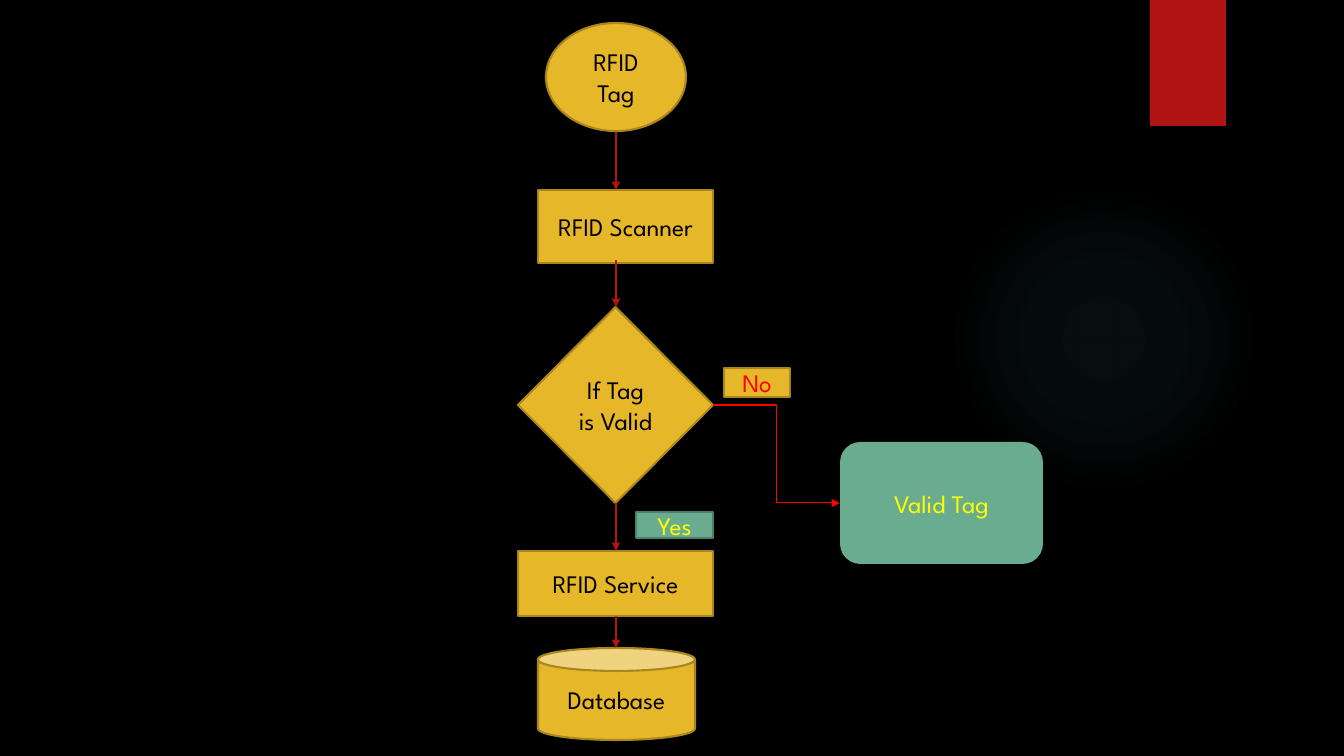
import dataclasses

import pptx
import pptx.dml.color
import pptx.enum.shapes
import pptx.enum.text
import pptx.oxml
import pptx.oxml.ns
import pptx.util

SHAPE = pptx.enum.shapes.MSO_SHAPE
CONNECTOR = pptx.enum.shapes.MSO_CONNECTOR


@dataclasses.dataclass(frozen=True)
class Theme:
    """Colours, font and sizes of the slide."""
    background: str = "000000"
    accent: str = "B01513"
    gold: str = "E6B729"
    gold_edge: str = "AA871E"
    green: str = "6AAC90"
    green_edge: str = "4E7F6B"
    dark_text: str = "000000"
    yellow: str = "FFFF00"
    red: str = "FF0000"
    glow: str = "50B9C1"
    font: str = "League Spartan"
    text_size: int = 18
    edge_width: float = 1.5
    arrow_width: float = 0.75


def pixels(*values):
    """Turn picture pixels into EMU."""
    return [pptx.util.Emu(round(value * 914400 / 100.8)) for value in values]


def rgb(code):
    """Return the colour for a hex code."""
    return pptx.dml.color.RGBColor.from_string(code)


def set_format(target, values):
    """Set every attribute in a dict of format values."""
    for name, value in values.items():
        setattr(target, name, value)


def element(tag, content="", attributes=""):
    """Build a DrawingML element."""
    namespace = pptx.oxml.ns.nsdecls("a")
    return pptx.oxml.parse_xml(f"<a:{tag} {namespace} {attributes}>{content}</a:{tag}>")


class Flowchart:
    """Draw flowchart elements on one slide in one theme."""

    def __init__(self, slide, theme):
        """Keep the slide and theme and paint the background."""
        self.slide, self.theme = slide, theme
        slide.background.fill.solid()
        slide.background.fill.fore_color.rgb = rgb(theme.background)

    def plain(self, kind, box, edge=None):
        """Add a shape without shadow, edged only when a colour is given."""
        shape = self.slide.shapes.add_shape(kind, *pixels(*box))
        shape.shadow.inherit = False
        if edge:
            shape.line.color.rgb = rgb(edge)
            shape.line.width = pptx.util.Pt(self.theme.edge_width)
        else:
            shape.line.fill.background()
        return shape

    def block(self, kind, box, fill, edge=None):
        """Add a shape with a solid fill."""
        shape = self.plain(kind, box, edge)
        shape.fill.solid()
        shape.fill.fore_color.rgb = rgb(fill)
        return shape

    def glow(self, box, stops):
        """Add a circle that fades outwards through position and opacity stops."""
        shape = self.plain(SHAPE.OVAL, box)
        colours = "".join(
            f'<a:gs pos="{position * 1000}"><a:srgbClr val="{self.theme.glow}">'
            f'<a:alpha val="{opacity * 1000}"/></a:srgbClr></a:gs>'
            for position, opacity in stops)
        centre = '<a:fillToRect l="50000" t="50000" r="50000" b="50000"/>'
        content = f'<a:gsLst>{colours}</a:gsLst><a:path path="circle">{centre}</a:path>'
        shape._element.spPr.insert(2, element("gradFill", content))

    def node(self, kind, box, text, fill, edge, colour):
        """Add a block with centred text."""
        frame = self.block(kind, box, fill, edge).text_frame
        set_format(frame, {
            "word_wrap": True,
            "vertical_anchor": pptx.enum.text.MSO_ANCHOR.MIDDLE,
        })
        paragraph = frame.paragraphs[0]
        paragraph.alignment = pptx.enum.text.PP_ALIGN.CENTER
        run = paragraph.add_run()
        run.text = text
        set_format(run.font, {
            "name": self.theme.font,
            "size": pptx.util.Pt(self.theme.text_size),
        })
        run.font.color.rgb = rgb(colour)

    def arrow(self, kind, ends, colour):
        """Add a connector with a triangle at its far end."""
        connector = self.slide.shapes.add_connector(kind, *pixels(*ends))
        connector.line.color.rgb = rgb(colour)
        connector.line.width = pptx.util.Pt(self.theme.arrow_width)
        properties = connector._element.spPr
        outline = properties.find(pptx.oxml.ns.qn("a:ln"))
        outline.append(element("tailEnd", attributes='type="triangle"'))
        properties.append(element("effectLst"))


def main():
    """Build and save the tag validation flowchart."""
    presentation = pptx.Presentation()
    width, height = pixels(1344, 756)
    set_format(presentation, {"slide_width": width, "slide_height": height})
    theme = Theme()
    chart = Flowchart(presentation.slides.add_slide(presentation.slide_layouts[6]), theme)

    chart.glow((949, 184, 310, 310), [(0, 7), (36, 6), (69, 0)])
    chart.block(SHAPE.RECTANGLE, (1150, 0, 76, 126), theme.accent)

    gold = (theme.gold, theme.gold_edge)
    steps = [
        (SHAPE.OVAL, (546, 23, 140, 108), "RFID Tag"),
        (SHAPE.RECTANGLE, (538, 190, 175, 73), "RFID Scanner"),
        (SHAPE.DIAMOND, (518, 307, 195, 196), "If Tag is Valid"),
        (SHAPE.RECTANGLE, (518, 551, 195, 65), "RFID Service"),
        (SHAPE.CAN, (538, 648, 157, 92), "Database"),
    ]
    for kind, box, text in steps:
        chart.node(kind, box, text, *gold, theme.dark_text)

    flow_x = 616
    for start, end in [(132, 190), (260, 307), (503, 551), (616, 648)]:
        chart.arrow(CONNECTOR.STRAIGHT, (flow_x, start, flow_x, end), theme.accent)
    chart.arrow(CONNECTOR.ELBOW, (713, 405, 840, 503), theme.red)

    chart.node(SHAPE.ROUNDED_RECTANGLE, (840, 442, 203, 122), "Valid Tag",
               theme.green, None, theme.yellow)
    chart.node(SHAPE.RECTANGLE, (636, 512, 77, 26), "Yes",
               theme.green, theme.green_edge, theme.yellow)
    chart.node(SHAPE.RECTANGLE, (724, 368, 66, 29), "No", *gold, theme.red)
    presentation.save("out.pptx")


main()
